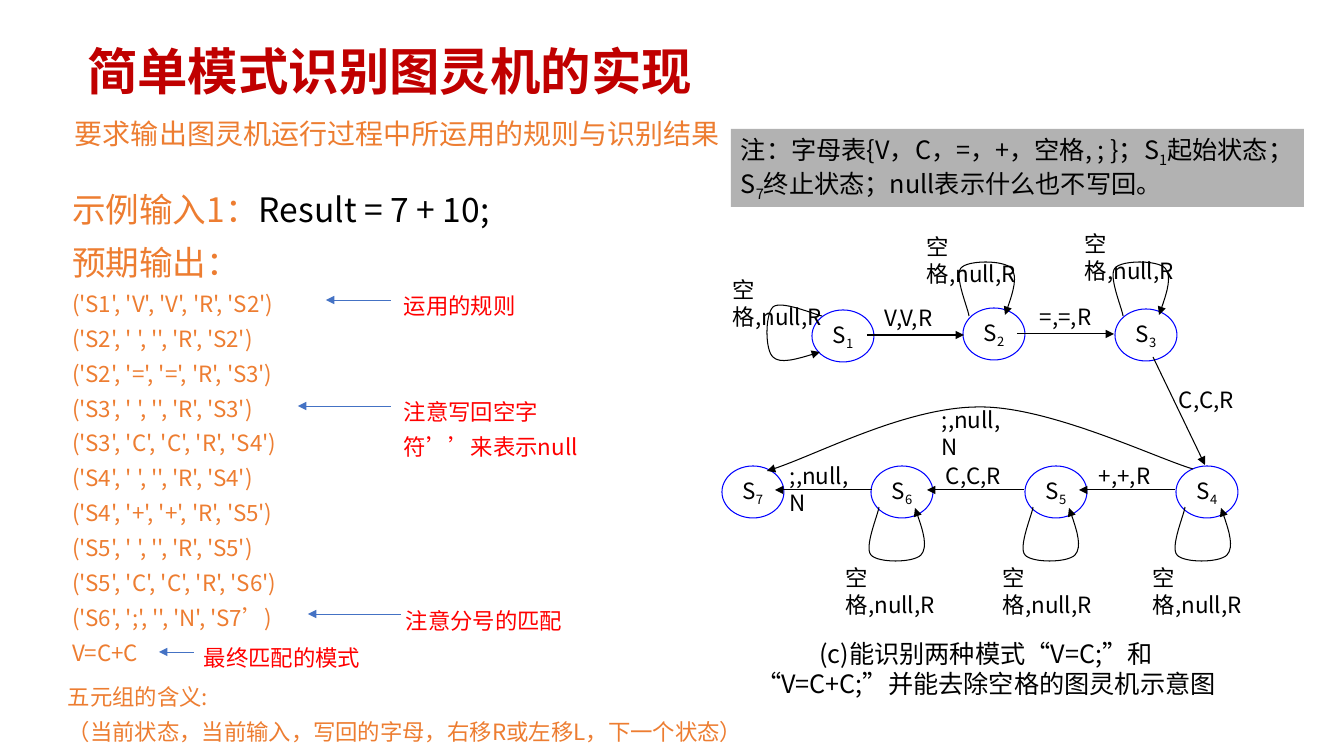
from pptx import Presentation
from pptx.dml.color import RGBColor
from pptx.enum.shapes import MSO_CONNECTOR, MSO_SHAPE
from pptx.enum.text import MSO_ANCHOR, MSO_AUTO_SIZE, PP_ALIGN
from pptx.oxml.ns import qn
from pptx.util import Pt
from lxml.etree import SubElement

PX = 9071
FONT = "Noto Sans CJK SC"
ORANGE, RED, BLACK = "ED7D31", "FF0000", "000000"
BLUE, RING, GREY = "4472C4", "0000FF", "B2B2B2"

TITLE = "简单模式识别图灵机的实现"
SUBTITLE = "要求输出图灵机运行过程中所运用的规则与识别结果"
RULES = [
    "('S1', 'V', 'V', 'R', 'S2')", "('S2', ' ', '', 'R', 'S2')",
    "('S2', '=', '=', 'R', 'S3')", "('S3', ' ', '', 'R', 'S3')",
    "('S3', 'C', 'C', 'R', 'S4')", "('S4', ' ', '', 'R', 'S4')",
    "('S4', '+', '+', 'R', 'S5')", "('S5', ' ', '', 'R', 'S5')",
    "('S5', 'C', 'C', 'R', 'S6')", "('S6', ';', '', 'N', 'S7’)", "V=C+C",
]
EXAMPLE = [[("示例输入1：", 24, ORANGE), ("Result = 7 + 10;", 24, BLACK)],
           [("预期输出：", 24, ORANGE)]] + [[(rule, 16, ORANGE)] for rule in RULES]
MEANING = ["五元组的含义:", "（当前状态，当前输入，写回的字母，右移R或左移L，下一个状态）"]
NOTE = [("注：字母表{V，C，=，+，空格, ; }；S", 0), ("1", 1), ("起始状态；S", 0),
        ("7", 1), ("终止状态；null表示什么也不写回。", 0)]
CAPTION = "(c)能识别两种模式“V=C;”和 “V=C+C;”并能去除空格的图灵机示意图"

REMARKS = [("运用的规则", 394, 279), ("注意写回空字符’’来表示null", 394, 385),
           ("注意分号的匹配", 396, 594), ("最终匹配的模式", 194, 631)]
REMARK_ARROWS = [(391, 326, 300), (391, 298, 406), (401, 308, 614), (194, 159, 652)]

STATES = {"1": (812, 310), "2": (963, 308), "3": (1115, 309), "4": (1176, 466),
          "5": (1025, 466), "6": (871, 466), "7": (722, 466)}
MOVES = [(867, 335, 964, 335), (1017, 334, 1114, 334), (1153, 357, 1205, 465),
         (1175, 490, 1079, 490), (1024, 490, 927, 490), (872, 490, 775, 490)]
MOVE_LABELS = [("V,V,R", 875, 299, 76), ("=,=,R", 1030, 298, 76), ("C,C,R", 1169, 381, 82),
               ("+,+,R", 1089, 457, 76), ("C,C,R", 936, 457, 82), (";,null,N", 780, 457, 90),
               (";,null,N", 932, 401, 90)]
LOOP = "空格,null,R"
LOOP_LABELS = [(723, 271), (917, 228), (1075, 225), (1143, 559), (993, 559), (836, 559)]
SIDE_LOOP = [(822, 316), (813, 314), (781, 300), (773, 307), (765, 315),
             (765, 350), (773, 357), (780, 364), (801, 358), (820, 352)]
LOOP_BEND = [(0, 0), (-1, 8), (-15, 40), (-8, 48), (-1, 56),
             (34, 56), (42, 48), (49, 40), (43, 20), (36, 1)]
LOOP_STARTS = [(969, 316, -1), (1123, 316, -1), (1185, 507, 1), (1033, 507, 1), (879, 507, 1)]
SHORTCUT = [(1193, 469), (1158, 459), (1049, 406), (979, 407), (907, 407), (811, 458), (767, 471)]


def px(*values):
    return [round(v * PX) for v in values]


def color(hex_value):
    return RGBColor.from_string(hex_value)


def put(target, **values):
    for name, value in values.items():
        setattr(target, name, value)


def write(sp, paragraphs, spacing=1.0, align=PP_ALIGN.LEFT, **frame):
    tf = sp.text_frame
    put(tf, **{"word_wrap": True, "auto_size": MSO_AUTO_SIZE.NONE,
               "vertical_anchor": MSO_ANCHOR.TOP, **frame})
    for i, runs in enumerate(paragraphs):
        p = tf.add_paragraph() if i else tf.paragraphs[0]
        put(p, alignment=align, line_spacing=spacing, space_before=Pt(0))
        for text, size, hex_value, *style in runs:
            r = p.add_run()
            r.text = text
            put(r.font, name=FONT, size=Pt(size), bold="bold" in style)
            r.font.color.rgb = color(hex_value)
            rPr = r.font._element
            SubElement(rPr, qn("a:ea")).set("typeface", FONT)
            if "sub" in style:
                rPr.set("baseline", "-25000")


def text_box(box, paragraphs, **fmt):
    write(s.shapes.add_textbox(*px(*box)), paragraphs, **fmt)


def fill_placeholder(sp, box, paragraphs, **fmt):
    put(sp, **dict(zip(("left", "top", "width", "height"), px(*box))))
    write(sp, paragraphs, **fmt)


def stroke(sp, hex_value, width, arrow=True):
    sp.line.color.rgb = color(hex_value)
    sp.line.width = Pt(width)
    if arrow:
        SubElement(sp.line._get_or_add_ln(), qn("a:tailEnd")).set("type", "triangle")


def arrow_line(ends, hex_value=BLACK, width=0.75):
    line = s.shapes.add_connector(MSO_CONNECTOR.STRAIGHT, *px(*ends))
    stroke(line, hex_value, width)
    SubElement(line._element.spPr, qn("a:effectLst"))


def shape(kind, box):
    sp = s.shapes.add_shape(kind, *px(*box))
    sp.shadow.inherit = False
    return sp


def curve(points):
    builder = s.shapes.build_freeform(*points[0], scale=PX)
    builder.add_line_segments(points[1:], close=False)
    sp = builder.convert_to_shape()
    sp.shadow.inherit = False
    sp.fill.background()
    stroke(sp, BLACK, 0.75)
    outline = sp._element.spPr.find(".//" + qn("a:path"))
    segments = outline.findall(qn("a:lnTo"))
    for i in range(0, len(segments), 3):
        bend = SubElement(outline, qn("a:cubicBezTo"))
        for segment in segments[i:i + 3]:
            bend.append(segment[0])
            outline.remove(segment)


prs = Presentation()
prs.slide_width, prs.slide_height = px(1344, 756)
s = prs.slides.add_slide(prs.slide_layouts[1])
title, body = s.placeholders

fill_placeholder(title, (77, 28, 1176, 84), [[(TITLE, 36, "C00000", "bold")]],
                 vertical_anchor=MSO_ANCHOR.MIDDLE)
fill_placeholder(body, (62, 172, 627, 501), EXAMPLE, spacing=1.3)
for p in body.text_frame.paragraphs:
    pPr = p._p.get_or_add_pPr()
    put_none = SubElement(pPr, qn("a:buNone"))
    pPr.set("marL", "0")
    pPr.set("indent", "0")

for number, (x, y) in STATES.items():
    state = shape(MSO_SHAPE.OVAL, (x, y, 62, 52))
    state.fill.background()
    stroke(state, RING, 0.75, arrow=False)
    write(state, [[("S", 16, BLACK), (number, 16, BLACK, "sub")]], align=PP_ALIGN.CENTER,
          word_wrap=False, vertical_anchor=MSO_ANCHOR.MIDDLE)
for ends in MOVES:
    arrow_line(ends)
curve(SIDE_LOOP)
curve(SHORTCUT)
for x, y, way in LOOP_STARTS:
    curve([(x + dx, y + way * dy) for dx, dy in LOOP_BEND])
for text, x, y, width in MOVE_LABELS + [(LOOP, x, y, 128) for x, y in LOOP_LABELS]:
    text_box((x, y, width, 37), [[(text, 16, BLACK)]])

text_box((732, 633, 508, 72), [[(CAPTION, 18, BLACK)]], align=PP_ALIGN.CENTER)
note = shape(MSO_SHAPE.RECTANGLE, (731, 129, 573, 78))
note.fill.solid()
note.fill.fore_color.rgb = color(GREY)
note.line.fill.background()
write(note, [[(text, 18, BLACK, "sub" if low else "") for text, low in NOTE]])

text_box((65, 101, 674, 50), [[(SUBTITLE, 20, ORANGE)]], spacing=1.3)
text_box((58, 670, 829, 78), [[(line, 16, ORANGE)] for line in MEANING], spacing=1.3)
for text, x, y in REMARKS:
    text_box((x, y, 240, 42), [[(text, 16, RED)]], spacing=1.3)
for start, end, y in REMARK_ARROWS:
    arrow_line((start, y, end, y), BLUE, 0.5)

prs.save("out.pptx")
